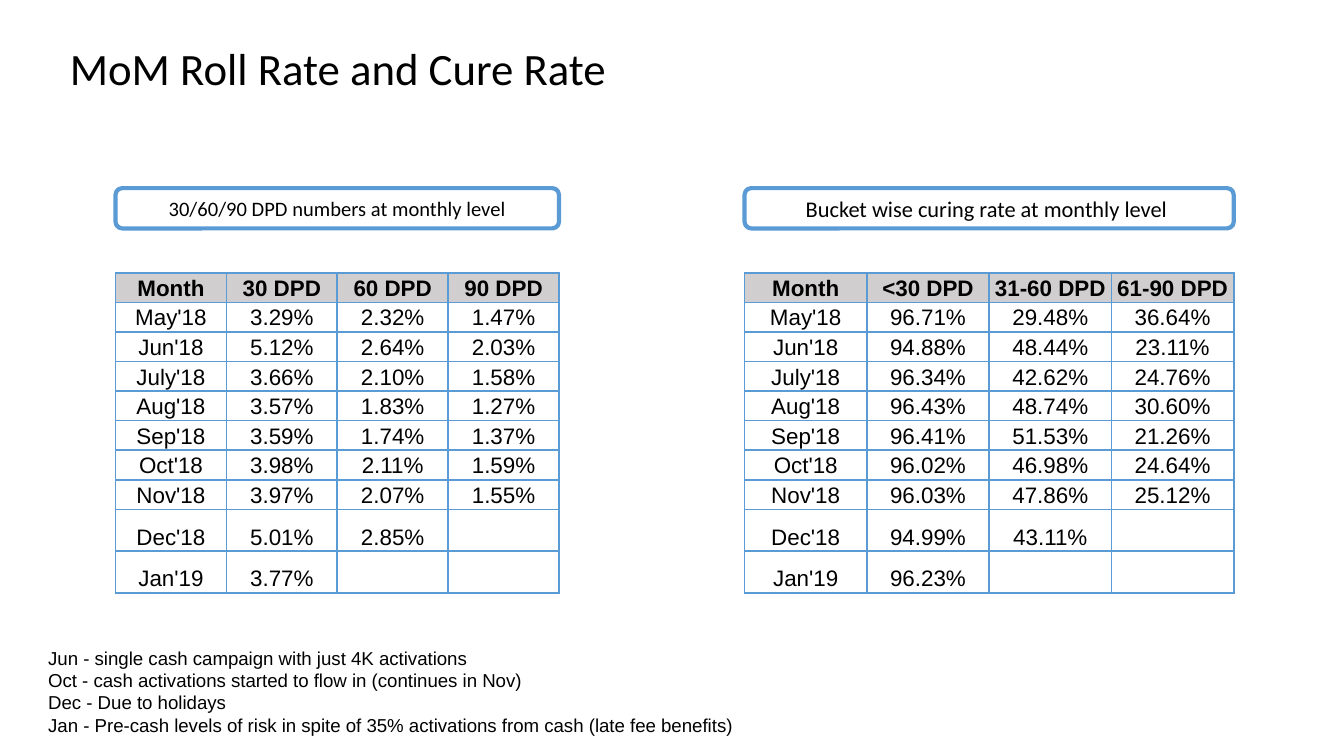
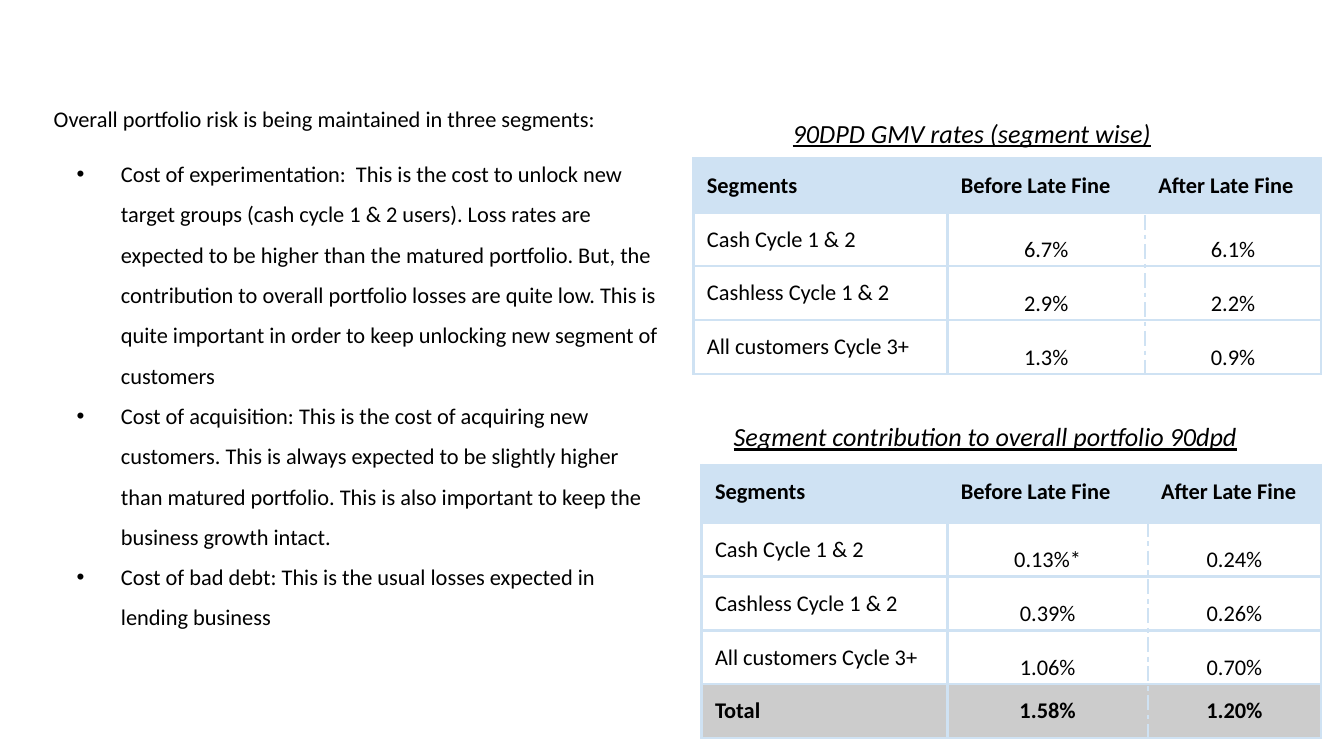
from lxml import etree
from pptx import Presentation
from pptx.dml.color import RGBColor
from pptx.enum.shapes import MSO_SHAPE
from pptx.enum.text import MSO_ANCHOR, PP_ALIGN
from pptx.oxml.ns import qn
from pptx.util import Inches, Pt

BLACK = RGBColor(0x00, 0x00, 0x00)
WHITE = RGBColor(0xFF, 0xFF, 0xFF)
BLUE = RGBColor(0x5B, 0x9B, 0xD5)
PALE = RGBColor(0xCF, 0xE2, 0xF3)
SILVER = RGBColor(0xD0, 0xCE, 0xCE)
GRAY = RGBColor(0xCC, 0xCC, 0xCC)

LEFT, CENTER = PP_ALIGN.LEFT, PP_ALIGN.CENTER
TOP, MIDDLE, BOTTOM = MSO_ANCHOR.TOP, MSO_ANCHOR.MIDDLE, MSO_ANCHOR.BOTTOM
ROUND = MSO_SHAPE.ROUNDED_RECTANGLE

SIDES = ("left", "top", "right", "bottom")
SLIM = (0.07, 0.04, 0.07, 0.04)
WIDE = (0.1, 0.1, 0.1, 0.1)
TIGHT = (0.02, 0.01, 0.02, 0.01)
VALUE = (0.03, 0.02, 0.03, 0.02)

HEAD = {"name": "Calibri", "size": Pt(24)}
BODY = {"name": "Calibri", "size": Pt(12)}
BOLD = {**BODY, "bold": True}
LABEL = {"name": "Calibri", "size": Pt(14), "italic": True, "underline": True}
GRID = {"name": "Arial", "size": Pt(12)}
NOTE = {"name": "Arial", "size": Pt(10)}

MONTHS = ("May'18", "Jun'18", "July'18", "Aug'18", "Sep'18",
          "Oct'18", "Nov'18", "Dec'18", "Jan'19")
ROLLS = (
    ("30 DPD", "3.29%", "5.12%", "3.66%", "3.57%", "3.59%", "3.98%",
     "3.97%", "5.01%", "3.77%"),
    ("60 DPD", "2.32%", "2.64%", "2.10%", "1.83%", "1.74%", "2.11%",
     "2.07%", "2.85%", ""),
    ("90 DPD", "1.47%", "2.03%", "1.58%", "1.27%", "1.37%", "1.59%",
     "1.55%", "", ""),
)
CURES = (
    ("<30 DPD", "96.71%", "94.88%", "96.34%", "96.43%", "96.41%", "96.02%",
     "96.03%", "94.99%", "96.23%"),
    ("31-60 DPD", "29.48%", "48.44%", "42.62%", "48.74%", "51.53%", "46.98%",
     "47.86%", "43.11%", ""),
    ("61-90 DPD", "36.64%", "23.11%", "24.76%", "30.60%", "21.26%", "24.64%",
     "25.12%", "", ""),
)
NOTES = (
    "Jun - single cash campaign with just 4K activations",
    "Oct - cash activations started to flow in (continues in Nov)",
    "Dec - Due to holidays",
    "Jan - Pre-cash levels of risk in spite of 35% activations from cash "
    "(late fee benefits)",
)
FINES = ("Segments", "Before Late Fine", "After Late Fine")
GROUPS = ("Cash Cycle 1 & 2", "Cashless Cycle 1 & 2", "All customers Cycle 3+")
RATES = (("6.7%", "6.1%"), ("2.9%", "2.2%"), ("1.3%", "0.9%"))
SHARES = (("0.13%*", "0.24%"), ("0.39%", "0.26%"), ("1.06%", "0.70%"))
TOTAL = ("Total", "1.58%", "1.20%")
INTRO = "Overall portfolio risk is being maintained in three segments:"
COSTS = (
    "Cost of experimentation:  This is the cost to unlock new target groups "
    "(cash cycle 1 & 2 users). Loss rates are expected to be higher than the "
    "matured portfolio. But, the contribution to overall portfolio losses are "
    "quite low. This is quite important in order to keep unlocking new "
    "segment of customers",
    "Cost of acquisition: This is the cost of acquiring new customers. This "
    "is always expected to be slightly higher than matured portfolio. This is "
    "also important to keep the business growth intact.",
    "Cost of bad debt: This is the usual losses expected in lending business",
)


def inset(item, pads):
    for side, pad in zip(SIDES, pads):
        setattr(item, f"margin_{side}", Inches(pad))


def write(frame, lines, font, align=LEFT, space=None):
    for i, line in enumerate(lines):
        para = frame.paragraphs[0] if i == 0 else frame.add_paragraph()
        para.alignment = align
        if space:
            para.line_spacing = space
        run = para.add_run()
        run.text = line
        run.font.color.rgb = BLACK
        for key, val in font.items():
            setattr(run.font, key, val)


def add_text(slide, box, lines, font, pads=WIDE, anchor=TOP, space=None):
    frame = slide.shapes.add_textbox(*map(Inches, box)).text_frame
    frame.word_wrap = True
    frame.vertical_anchor = anchor
    inset(frame, pads)
    write(frame, lines, font, space=space)
    return frame


def add_tag(slide, box, text, size):
    """Outlined heading above a table."""
    tag = slide.shapes.add_shape(ROUND, *map(Inches, box))
    tag.shadow.inherit = False
    tag.fill.solid()
    tag.fill.fore_color.rgb = WHITE
    tag.line.color.rgb = BLUE
    tag.line.width = Pt(2.25)
    frame = tag.text_frame
    frame.word_wrap = True
    frame.vertical_anchor = MIDDLE
    inset(frame, SLIM)
    write(frame, [text], {**BODY, "size": Pt(size)}, CENTER)


def add_edges(cell, color, width, dashed):
    """Cell borders; the sides named in dashed get a dash-dot line."""
    props = cell._tc.get_or_add_tcPr()
    for i, side in enumerate("LRTB"):
        line = etree.Element(qn(f"a:ln{side}"), w=str(Pt(width)))
        fill = etree.SubElement(line, qn("a:solidFill"))
        etree.SubElement(fill, qn("a:srgbClr"), val=str(color))
        dash = "dashDot" if side in dashed else "solid"
        etree.SubElement(line, qn("a:prstDash"), val=dash)
        props.insert(i, line)


def add_grid(slide, spot, cols, rows):
    """Bare table without the bands of its style."""
    size = (sum(cols), sum(rows))
    frame = slide.shapes.add_table(len(rows), len(cols),
                                   *map(Inches, (*spot, *size)))
    table = frame.table
    table.first_row = table.horz_banding = False
    for col, width in zip(table.columns, cols):
        col.width = Inches(width)
    for row, height in zip(table.rows, rows):
        row.height = Inches(height)
    return table


def set_cell(cell, text, font, pads, anchor, align, fill=None, space=None):
    if fill is None:
        cell.fill.background()
    else:
        cell.fill.solid()
        cell.fill.fore_color.rgb = fill
    inset(cell, pads if text else (0, 0, 0, 0))
    cell.vertical_anchor = anchor
    if text:
        write(cell.text_frame, [text], font, align, space)


def month_panel(slide, left, width, text, size, data):
    add_tag(slide, (left, 1.4, width, 0.3), text, size)
    cols = (("Month", *MONTHS), *data)
    table = add_grid(slide, (left, 2.03), [width / 4] * 4,
                     [0.22] * 8 + [0.31] * 2)
    for c, col in enumerate(cols):
        for r, item in enumerate(col):
            cell = table.cell(r, c)
            set_cell(cell, item, {**GRID, "bold": r == 0}, TIGHT, BOTTOM,
                     CENTER, SILVER if r == 0 else None)
            add_edges(cell, BLUE, 1, "")


def fine_table(slide, spot, cols, top, data, total=None):
    lines = [FINES, *((group, *vals) for group, vals in zip(GROUPS, data))]
    fills = [PALE, None, None, None]
    if total:
        lines.append(total)
        fills.append(GRAY)
    table = add_grid(slide, spot, cols, [top] + [0.4] * (len(lines) - 1))
    for r, (line, fill) in enumerate(zip(lines, fills)):
        for c, item in enumerate(line):
            cell = table.cell(r, c)
            if c and fill is None:
                set_cell(cell, item, BODY, VALUE, BOTTOM, CENTER, space=1.15)
            else:
                align = CENTER if c and r else LEFT
                set_cell(cell, item, BOLD if fill else BODY, WIDE, TOP,
                         align, fill)
            add_edges(cell, PALE, 1.5, ("", "R", "L")[c])


def cost_list(slide, box):
    frame = add_text(slide, box, (INTRO, *COSTS), BODY, SLIM, space=1.5)
    for para in frame.paragraphs[:2]:
        para.space_before = Pt(8)
    for para in frame.paragraphs[1:]:
        props = para._p.get_or_add_pPr()
        props.set("marL", str(Inches(0.5)))
        props.set("indent", str(Inches(-0.33)))
        etree.SubElement(props, qn("a:buFont"), typeface="Arial")
        etree.SubElement(props, qn("a:buChar"), char="•")


def rate_slide(slide):
    add_text(slide, (0.45, 0.19, 8.73, 0.68), ["MoM Roll Rate and Cure Rate"],
             HEAD, SLIM, MIDDLE, 0.9)
    month_panel(slide, 0.86, 3.3, "30/60/90 DPD numbers at monthly level",
                11, ROLLS)
    month_panel(slide, 5.54, 3.64, "Bucket wise curing rate at monthly level ",
                12, CURES)
    add_text(slide, (0.26, 4.71, 5.61, 0.8), NOTES, NOTE)


def risk_slide(slide):
    fine_table(slide, (5.16, 1.18), (1.89, 1.47, 1.31), 0.4, RATES)
    fine_table(slide, (5.22, 3.46), (1.83, 1.49, 1.29), 0.43, SHARES, TOTAL)
    cost_list(slide, (0.33, 0.64, 4.67, 4.92))
    add_text(slide, (5.8, 0.77, 3.1, 0.35),
             ["90DPD GMV rates (segment wise)"], LABEL)
    add_text(slide, (5.36, 3.03, 4.46, 0.43),
             ["Segment contribution to overall portfolio 90dpd"], LABEL)


def main():
    deck = Presentation()
    deck.slide_width = Inches(10)
    deck.slide_height = deck.slide_width * 9 // 16
    for build in (rate_slide, risk_slide):
        build(deck.slides.add_slide(deck.slide_layouts[6]))
    deck.save("out.pptx")


if __name__ == "__main__":
    main()
